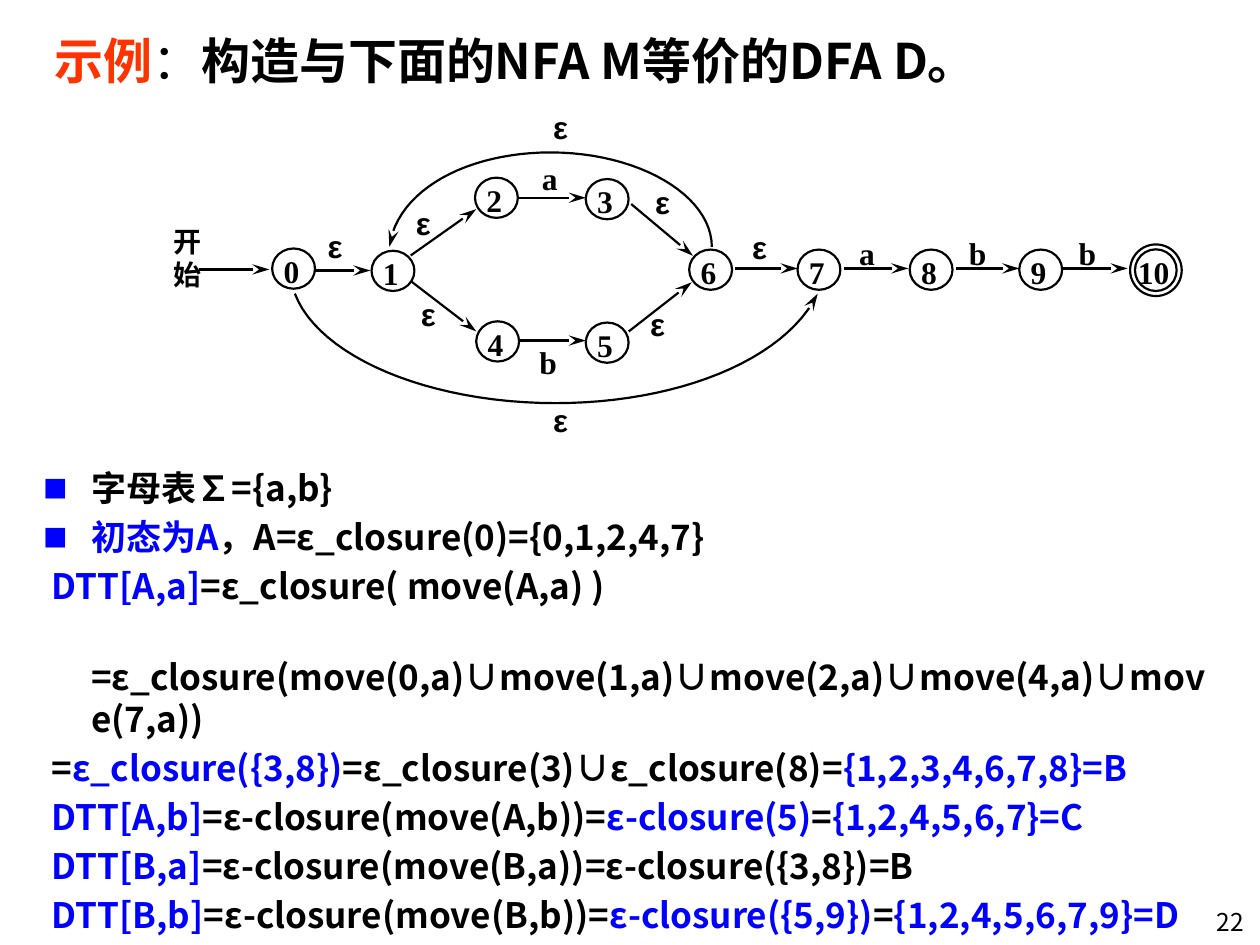
from dataclasses import dataclass

from lxml import etree
from pptx import Presentation
from pptx.dml.color import RGBColor
from pptx.enum.shapes import MSO_CONNECTOR, MSO_SHAPE
from pptx.enum.text import MSO_ANCHOR, PP_ALIGN
from pptx.oxml.ns import qn
from pptx.util import Pt

OVAL = MSO_SHAPE.OVAL
STRAIGHT = MSO_CONNECTOR.STRAIGHT
LEFT, CENTER, RIGHT = PP_ALIGN.LEFT, PP_ALIGN.CENTER, PP_ALIGN.RIGHT
TOP, MIDDLE = MSO_ANCHOR.TOP, MSO_ANCHOR.MIDDLE


@dataclass(frozen=True)
class Theme:
    black: RGBColor = RGBColor(0, 0, 0)
    white: RGBColor = RGBColor(255, 255, 255)
    blue: RGBColor = RGBColor(0, 0, 255)
    red: RGBColor = RGBColor(255, 51, 0)
    main_font: str = "Noto Sans CJK SC"
    state_font: str = "Times New Roman"
    epsilon_font: str = "Arial"
    title_size: int = 28
    body_size: int = 20
    state_size: int = 18
    start_size: int = 16
    number_size: int = 14
    line_width: float = 1.25


THEME = Theme()
BLACK, BLUE = THEME.black, THEME.blue

# States: number -> centre
STATES = {
    0: (167.8, 153.5), 1: (224.6, 154.8), 2: (283.7, 113), 3: (347, 113.8),
    4: (284.4, 195.1), 5: (347, 195.8), 6: (406.1, 154.1), 7: (468, 154.1),
    8: (532.1, 154.1), 9: (594.7, 154.1),
}
FINAL_STATE, FINAL_CENTER = 10, (660.5, 154.4)

# Straight transitions: start and tip
EDGES = [
    (113.8, 154, 154, 154),
    (180, 154.6, 211.7, 154.6),
    (234.7, 146, 272.2, 119.5),
    (234.7, 160.6, 272.2, 189.4),
    (295.9, 113, 334.8, 113),
    (295.9, 194.6, 334.8, 194.6),
    (360.7, 116.6, 396, 146.2),
    (359.3, 189.4, 395.3, 161.3),
    (419.8, 153.4, 455.8, 153.4),
    (482.4, 153.4, 519.1, 153.4),
    (546.5, 153.4, 582.5, 153.4),
    (607.7, 153.4, 644.4, 153.4),
]

# Curved transitions: start, then two controls and an end per Bezier piece
BACK_ARC = [(406.8, 141.1), (406.8, 111.6), (365, 87.1), (314.6, 87.1),
            (267.8, 87.1), (227, 108), (222.5, 141.1)]
SKIP_ARC = [(168.5, 167.8), (182.2, 203.8), (244.8, 230.4), (317.5, 230.4),
            (385.9, 230.4), (448, 206.6), (467.3, 167.8)]

# Transition labels: symbol -> top left corners
LABELS = {
    "ε": [(187.2, 129.6), (237.6, 116.6), (240.5, 168.5), (371.5, 174.2),
          (429.8, 130.3), (316.1, 61.9), (316.1, 229), (374.4, 104.4)],
    "a": [(309.6, 90.7), (491, 133.9)],
    "b": [(308.2, 195.8), (553.7, 133.9), (616.3, 133.9)],
}

# Derivation: (bulleted, first-line indent, space before, runs)
HANGING, OUTDENT = -27, -22.5
DERIVATION = [
    (True, HANGING, 0, [("字母表∑={a,b}", BLACK)]),
    (True, HANGING, 4, [("初态为A", BLUE), ("，A=ε_closure(0)={0,1,2,4,7}", BLACK)]),
    (False, OUTDENT, 4, [("DTT[A,a]", BLUE), ("=ε_closure( move(A,a) )", BLACK)]),
    (False, 0, 28, [("=ε_closure(move(0,a)∪move(1,a)∪move(2,a)∪move(4,a)∪move(7,a))", BLACK)]),
    (False, OUTDENT, 4, [("=", BLACK), ("ε_closure({3,8})", BLUE),
                         ("=ε_closure(3)∪ε_closure(8)=", BLACK), ("{1,2,3,4,6,7,8}=B", BLUE)]),
    (False, OUTDENT, 4, [("DTT[A,b]", BLUE), ("=ε-closure(move(A,b))=", BLACK),
                         ("ε-closure(5)", BLUE), ("=", BLACK), ("{1,2,4,5,6,7}=C", BLUE)]),
    (False, OUTDENT, 4, [("DTT[B,a]", BLUE), ("=ε-closure(move(B,a))=ε-closure({3,8})=B", BLACK)]),
    (False, OUTDENT, 4, [("DTT[B,b]", BLUE), ("=ε-closure(move(B,b))=", BLACK),
                         ("ε-closure({5,9})", BLUE), ("=", BLACK), ("{1,2,4,5,6,7,9}=D", BLUE)]),
]


def add_run(paragraph, text, size, color=BLACK, font=THEME.main_font, bold=True):
    run = paragraph.add_run()
    run.text = text
    run.font.name, run.font.size, run.font.bold = font, Pt(size), bold
    run.font.color.rgb = color
    east_asian = etree.Element(qn("a:ea"), typeface=THEME.main_font)
    run.font._element.find(qn("a:latin")).addnext(east_asian)


def set_frame(frame, insets=(0, 0, 0, 0), wrap=False, anchor=TOP):
    frame.margin_left, frame.margin_top, frame.margin_right, frame.margin_bottom = map(Pt, insets)
    frame.word_wrap, frame.vertical_anchor = wrap, anchor


def add_text_box(slide, left, top, width, height, **frame_options):
    box = slide.shapes.add_textbox(Pt(left), Pt(top), Pt(width), Pt(height))
    set_frame(box.text_frame, **frame_options)
    return box.text_frame


def style_line(shape):
    shape.line.color.rgb = BLACK
    shape.line.width = Pt(THEME.line_width)


def add_arrowhead(shape):
    line = shape.element.spPr.find(qn("a:ln"))
    etree.SubElement(line, qn("a:tailEnd"), type="stealth", w="med", len="lg")


def add_circle(slide, center, width, height, label=""):
    x, y = center
    circle = slide.shapes.add_shape(OVAL, Pt(x - width / 2), Pt(y - height / 2), Pt(width), Pt(height))
    circle.shadow.inherit = False
    circle.fill.solid()
    circle.fill.fore_color.rgb = THEME.white
    style_line(circle)
    if label:
        set_frame(circle.text_frame, insets=(0, 2.5, 2.5, 0), anchor=MIDDLE)
        paragraph = circle.text_frame.paragraphs[0]
        paragraph.alignment = CENTER
        add_run(paragraph, label, THEME.state_size, font=THEME.state_font)


def add_arrow(slide, x1, y1, x2, y2):
    arrow = slide.shapes.add_connector(STRAIGHT, Pt(x1), Pt(y1), Pt(x2), Pt(y2))
    style_line(arrow)
    add_arrowhead(arrow)
    etree.SubElement(arrow.element.spPr, qn("a:effectLst"))


def bezier_points(controls, steps=24):
    for start in range(0, len(controls) - 1, 3):
        piece = controls[start:start + 4]
        for step in range(1, steps + 1):
            t = step / steps
            weights = ((1 - t) ** 3, 3 * t * (1 - t) ** 2, 3 * t * t * (1 - t), t ** 3)
            yield tuple(Pt(sum(w * point[axis] for w, point in zip(weights, piece)))
                        for axis in (0, 1))


def add_curved_arrow(slide, controls):
    builder = slide.shapes.build_freeform(*map(Pt, controls[0]))
    builder.add_line_segments(list(bezier_points(controls)), close=False)
    curve = builder.convert_to_shape()
    curve.shadow.inherit = False
    curve.fill.background()
    style_line(curve)
    add_arrowhead(curve)


def add_label(slide, text, left, top, size, font):
    frame = add_text_box(slide, left, top, size, size * 1.2)
    add_run(frame.paragraphs[0], text, size, font=font)


def add_bullet(properties):
    color = etree.SubElement(properties, qn("a:buClr"))
    etree.SubElement(color, qn("a:srgbClr"), val=str(BLUE))
    etree.SubElement(properties, qn("a:buSzPct"), val="70000")
    etree.SubElement(properties, qn("a:buFont"), typeface=THEME.main_font)
    etree.SubElement(properties, qn("a:buChar"), char="■")


def add_title(slide):
    title = slide.shapes.title
    title.left, title.top, title.width, title.height = Pt(24), Pt(12), Pt(678), Pt(44)
    set_frame(title.text_frame, insets=(7.2, 3.6, 7.2, 3.6), wrap=True, anchor=MIDDLE)
    paragraph = title.text_frame.paragraphs[0]
    paragraph.alignment = LEFT
    add_run(paragraph, "示例", THEME.title_size, THEME.red)
    add_run(paragraph, "：", THEME.title_size, bold=False)
    add_run(paragraph, "构造与下面的NFA M等价的DFA D。", THEME.title_size)


def add_automaton(slide):
    for controls in (BACK_ARC, SKIP_ARC):
        add_curved_arrow(slide, controls)
    for edge in EDGES:
        add_arrow(slide, *edge)
    for number, center in STATES.items():
        add_circle(slide, center, 24.5, 23, str(number))
    add_circle(slide, FINAL_CENTER, 29.5, 29.5)
    add_circle(slide, FINAL_CENTER, 23.8, 23.8, str(FINAL_STATE))
    for symbol, corners in LABELS.items():
        font = THEME.epsilon_font if symbol == "ε" else THEME.state_font
        for left, top in corners:
            add_label(slide, symbol, left, top, THEME.state_size, font)
    add_label(slide, "开始", 99.4, 128, THEME.start_size, THEME.state_font)


def add_derivation(slide):
    frame = add_text_box(slide, 18, 263, 684, 251, insets=(7.2, 3.6, 7.2, 3.6), wrap=True)
    for index, (bulleted, indent, space_before, runs) in enumerate(DERIVATION):
        paragraph = frame.add_paragraph() if index else frame.paragraphs[0]
        properties = paragraph._p.get_or_add_pPr()
        properties.set("marL", str(Pt(27)))
        properties.set("indent", str(Pt(indent)))
        if bulleted:
            add_bullet(properties)
        paragraph.line_spacing, paragraph.space_before = Pt(24), Pt(space_before)
        for text, color in runs:
            add_run(paragraph, text, THEME.body_size, color)


def add_page_number(slide):
    frame = add_text_box(slide, 661, 515, 57, 22, insets=(7.2, 3.6, 7.2, 3.6), wrap=True)
    frame.paragraphs[0].alignment = RIGHT
    add_run(frame.paragraphs[0], "22", THEME.number_size, bold=False)


def main():
    presentation = Presentation()
    presentation.slide_width, presentation.slide_height = Pt(720), Pt(540)
    slide = presentation.slides.add_slide(presentation.slide_layouts[5])
    add_title(slide)
    add_automaton(slide)
    add_derivation(slide)
    add_page_number(slide)
    presentation.save("out.pptx")


if __name__ == "__main__":
    main()
